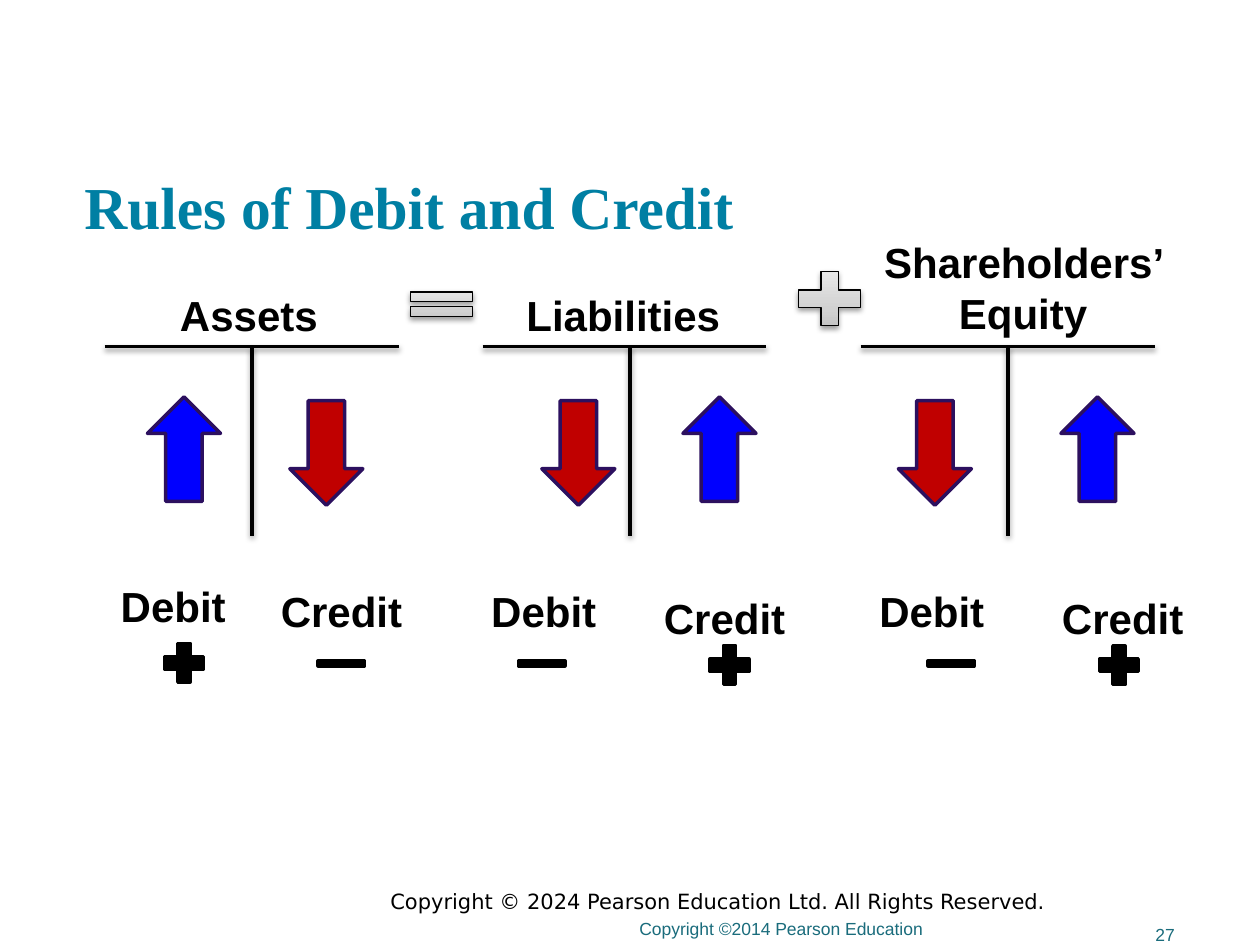
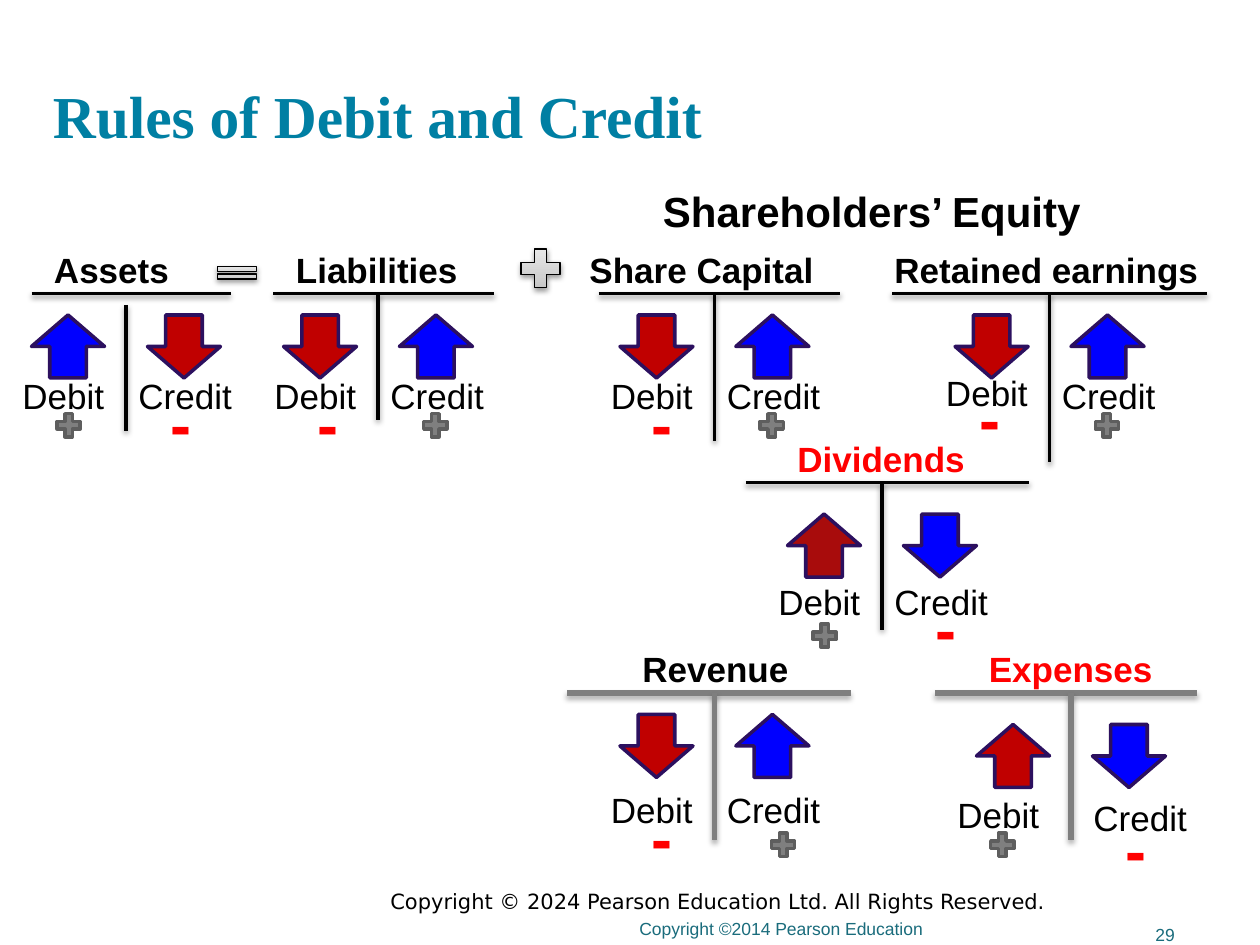
from copy import deepcopy
from dataclasses import dataclass

from lxml.etree import SubElement
from pptx import Presentation
from pptx.dml.color import RGBColor
from pptx.enum.shapes import MSO_CONNECTOR, MSO_SHAPE
from pptx.enum.text import MSO_ANCHOR, MSO_AUTO_SIZE, PP_ALIGN
from pptx.oxml.ns import qn
from pptx.util import Cm, Pt

BLACK, GREY, BLUE, RED = "000000", "7F7F7F", "0000FF", "C00000"
BRIGHT, TEAL, SLATE = "FF0000", "007FA3", "1A6C7C"
EDGE, RIM = "2C105F", "5E5E5E"
STOPS = [(0, "BDBDBD"), (0.35, "D1D1D1"), (1, "EEEEEE")]


def color(code):
    return RGBColor.from_string(code)


def size(inches):
    return Cm(inches * 2.54)


@dataclass
class Ledger:
    name: str
    left: float
    wide: float
    bar: tuple
    stem: float
    top: float
    end: float
    arrows: float
    words: tuple
    plus: tuple
    minus: tuple
    gap: float = 0
    debit: str = RED
    credit: str = BLUE
    rises: bool = False
    ink: str = BLACK
    line: str = BLACK
    weight: float = 2


class Deck:
    def __init__(self):
        self.deck = Presentation()
        self.deck.slide_width = size(10)
        self.deck.slide_height = size(7.5)
        self.slide = None

    def page(self, title, number, left, top, wide, high):
        self.slide = self.deck.slides.add_slide(self.deck.slide_layouts[5])
        head = self.slide.shapes.title
        head.left, head.top, head.width, head.height = map(size, (left, top, wide, high))
        self.letter(head.text_frame, title, 34, TEAL, True, "Times New Roman",
                    anchor=MSO_ANCHOR.BOTTOM, inset=0)
        self.text("Copyright © 2024 Pearson Education Ltd. All Rights Reserved.",
                  3, 7, 6.67, 0.3, 12, font="DejaVu Sans")
        self.text("Copyright ©2014 Pearson Education", 2.67, 7.17, 4.75, 0.33, 10, SLATE,
                  align=PP_ALIGN.RIGHT, anchor=MSO_ANCHOR.BOTTOM)
        self.text(number, 9.17, 7.1, 0.83, 0.4, 10, SLATE,
                  anchor=MSO_ANCHOR.BOTTOM, inset=0)

    def letter(self, frame, words, points, ink=BLACK, bold=False, font="Arial",
               align=PP_ALIGN.LEFT, anchor=MSO_ANCHOR.TOP, inset=None):
        frame.text = words
        frame.word_wrap = True
        frame.auto_size = MSO_AUTO_SIZE.NONE
        frame.vertical_anchor = anchor
        if inset is not None:
            frame.margin_left = frame.margin_right = size(inset)
            frame.margin_top = frame.margin_bottom = size(inset)
        para = frame.paragraphs[0]
        para.alignment = align
        for run in para.runs:
            run.font.name, run.font.size, run.font.bold = font, Pt(points), bold
            run.font.color.rgb = color(ink)

    def text(self, words, left, top, wide, high, points, *args, **style):
        box = self.slide.shapes.add_textbox(*map(size, (left, top, wide, high)))
        self.letter(box.text_frame, words, points, *args, **style)

    def shade(self, item, alpha=38, drop=1.6):
        props = item._element.spPr
        effects = props.find(qn("a:effectLst"))
        if effects is None:
            effects = SubElement(props, qn("a:effectLst"))
        outer = SubElement(effects, qn("a:outerShdw"), blurRad=str(Pt(3.1)),
                           dist=str(Pt(drop)), dir="5400000", rotWithShape="0")
        tint = SubElement(outer, qn("a:srgbClr"), val=BLACK)
        SubElement(tint, qn("a:alpha"), val=str(alpha * 1000))

    def rule(self, x1, y1, x2, y2, ink=BLACK, weight=2):
        line = self.slide.shapes.add_connector(
            MSO_CONNECTOR.STRAIGHT, *map(size, (x1, y1, x2, y2)))
        line.line.color.rgb = color(ink)
        line.line.width = Pt(weight)
        self.shade(line, *((38, 1.6) if weight == 2 else (35, 1.8)))

    def shape(self, kind, left, top, wide, high, fill, edge, weight=2):
        item = self.slide.shapes.add_shape(kind, *map(size, (left, top, wide, high)))
        item.shadow.inherit = False
        if fill:
            item.fill.solid()
            item.fill.fore_color.rgb = color(fill)
        item.line.color.rgb = color(edge)
        item.line.width = Pt(weight)
        return item

    def arrow(self, left, top, high, fill, rises):
        item = self.shape(MSO_SHAPE.UP_ARROW, left, top, 0.58, high, fill, EDGE)
        item.rotation = 0 if rises else 180

    def sign(self, kind, left, top, wide, high):
        item = self.shape(kind, left, top, wide, high, None, BLACK, 0.75)
        item.fill.gradient()
        item.fill.gradient_angle = 90
        first = next(item._element.spPr.iter(qn("a:gs")))
        first.addnext(deepcopy(first))
        for stop, (place, code) in zip(item.fill.gradient_stops, STOPS):
            stop.position = place
            stop.color.rgb = color(code)
        self.shade(item)

    def ledger(self, row):
        bar, stem = row.bar, row.stem
        self.text(row.name, row.left, bar[1] - 0.41, row.wide, 0.43, 20, row.ink, True)
        self.rule(bar[0], bar[1], bar[2], bar[1], row.line, row.weight)
        self.rule(stem, row.top, stem, row.end, row.line, row.weight)
        self.arrow(stem - 0.75, row.arrows, 0.5, row.debit, row.rises)
        self.arrow(stem + 0.17, row.arrows, 0.5, row.credit, not row.rises)
        self.text("Debit", stem - 0.92 - row.gap, row.words[0], 1, 0.43, 20)
        self.text("Credit", stem + row.gap, row.words[1], 1, 0.43, 20)
        self.shape(MSO_SHAPE.MATH_PLUS, stem + row.plus[0], row.plus[1],
                   0.25, 0.25, GREY, RIM)
        self.text("-", stem + row.minus[0], row.minus[1], 0.67, 0.7, 36, BRIGHT, True,
                  align=PP_ALIGN.CENTER)


def basic(deck):
    deck.page("Rules of Debit and Credit", "27", 0.67, 0.75, 9, 1.17)
    for start, end, stem in [(0.83, 3.17, 2), (3.83, 6.08, 5), (6.83, 9.17, 8)]:
        deck.rule(start, 2.75, end, 2.75)
        deck.rule(stem, 2.75, stem, 4.25)
    deck.text("Assets", 1.33, 2.25, 1.42, 0.5, 24, bold=True)
    deck.text("Liabilities", 4.08, 2.25, 1.75, 0.5, 24, bold=True)
    deck.text("Shareholders’ Equity", 6.83, 1.83, 2.58, 0.9, 24, bold=True,
              align=PP_ALIGN.CENTER)
    deck.sign(MSO_SHAPE.MATH_EQUAL, 3.17, 2.25, 0.67, 0.33)
    deck.sign(MSO_SHAPE.MATH_PLUS, 6.25, 2.08, 0.67, 0.58)
    for left in (1.17, 5.42, 8.42):
        deck.arrow(left, 3.15, 0.83, BLUE, True)
    for left in (2.3, 4.3, 7.13):
        deck.arrow(left, 3.18, 0.83, RED, False)
    words = [("Debit", 0.86, 4.56), ("Credit", 2.13, 4.6), ("Debit", 3.8, 4.6),
             ("Credit", 5.17, 4.65), ("Debit", 6.88, 4.6), ("Credit", 8.33, 4.65)]
    for word, left, top in words:
        deck.text(word, left, top, 1.25, 0.5, 24, bold=True)
    for left, top in [(1.25, 5.05), (5.58, 5.07), (8.67, 5.07)]:
        deck.shape(MSO_SHAPE.MATH_PLUS, left, top, 0.42, 0.42, BLACK, BLACK)
    for left in (2.46, 4.05, 7.3):
        deck.shape(MSO_SHAPE.MATH_MINUS, left, 5.18, 0.5, 0.17, BLACK, BLACK)


def full(deck):
    deck.page("Rules of Debit and Credit", "29", 0.42, 0.19, 9, 1)
    deck.text("Shareholders’ Equity", 4.92, 1.42, 4, 0.5, 24, bold=True,
              align=PP_ALIGN.CENTER)
    deck.sign(MSO_SHAPE.MATH_EQUAL, 1.67, 2.08, 0.42, 0.17)
    deck.sign(MSO_SHAPE.MATH_PLUS, 4.08, 1.92, 0.42, 0.42)
    rows = [
        Ledger("Assets", 0.33, 1.42, (0.25, 2.33, 1.83), 1, 2.42, 3.42, 2.5,
               (2.92, 2.92), (-0.58, 3.25), (0.1, 3),
               debit=BLUE, credit=RED, rises=True),
        Ledger("Liabilities", 2.25, 1.75, (2.17, 2.33, 3.92), 3, 2.33, 3.33, 2.5,
               (2.92, 2.92), (0.33, 3.25), (-0.73, 3)),
        Ledger("Share Capital", 4.58, 2.25, (4.75, 2.33, 6.67), 5.67, 2.33, 3.5, 2.5,
               (2.92, 2.92), (0.33, 3.25), (-0.75, 3)),
        Ledger("Retained earnings", 7, 2.67, (7.08, 2.33, 9.58), 8.33, 2.33, 3.67, 2.5,
               (2.9, 2.92), (0.33, 3.25), (-0.81, 2.96)),
        Ledger("Dividends", 6.23, 1.67, (5.92, 3.83, 8.17), 7, 3.83, 5, 4.08,
               (4.56, 4.56), (-0.58, 4.92), (0.17, 4.63),
               debit="A80C0C", rises=True, ink=BRIGHT),
        Ledger("Revenue", 5, 1.67, (4.5, 5.5, 6.75), 5.67, 5.5, 6.67, 5.67,
               (6.21, 6.21), (0.42, 6.58), (-0.75, 6.29), line=GREY, weight=3),
        Ledger("Expenses", 7.75, 1.5, (7.42, 5.5, 9.5), 8.5, 5.5, 6.67, 5.75,
               (6.25, 6.27), (-0.67, 6.58), (0.18, 6.38), gap=0.08,
               rises=True, ink=BRIGHT, line=GREY, weight=3),
    ]
    for row in rows:
        deck.ledger(row)


def main():
    deck = Deck()
    basic(deck)
    full(deck)
    deck.deck.save("out.pptx")


if __name__ == "__main__":
    main()
